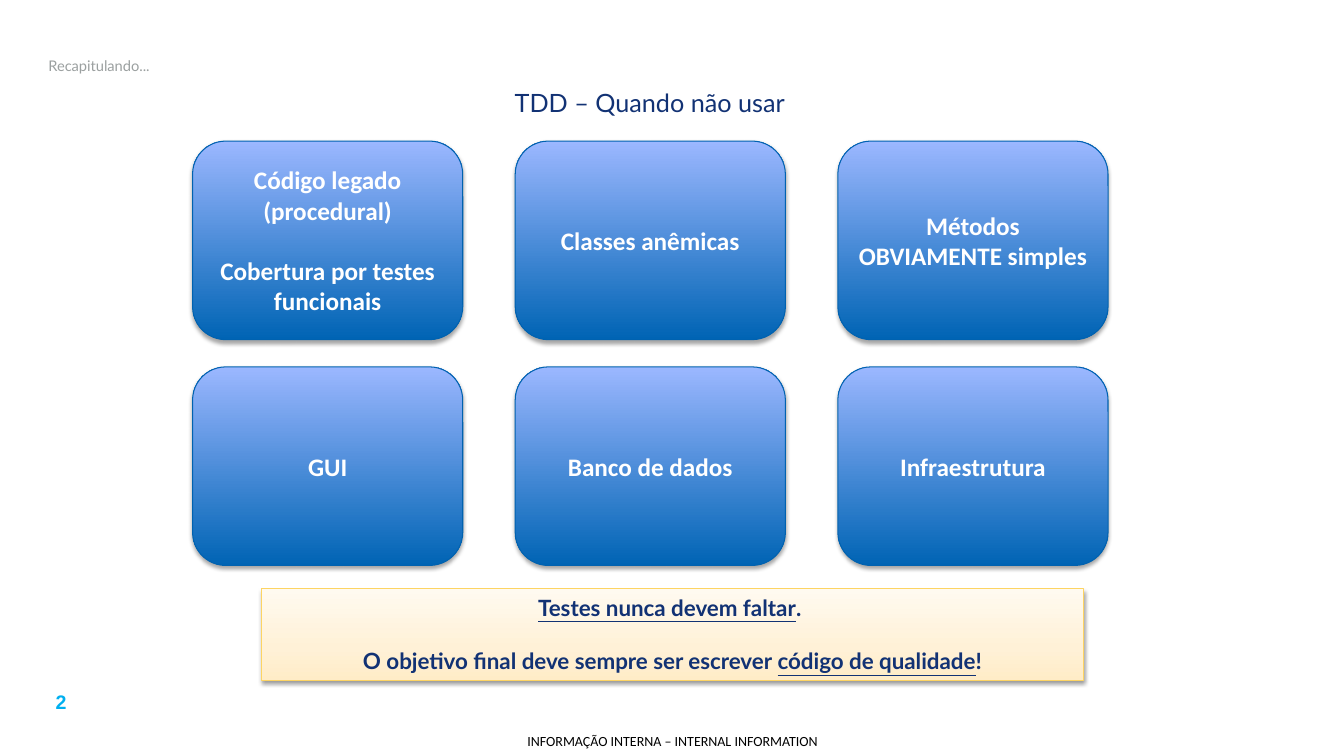
from lxml.etree import SubElement as Sub
from pptx import Presentation
from pptx.dml.color import RGBColor as RGB
from pptx.enum.shapes import MSO_SHAPE as Shape
from pptx.enum.text import MSO_ANCHOR as Anchor, MSO_AUTO_SIZE as Auto, PP_ALIGN as Align
from pptx.oxml.ns import qn
from pptx.util import Inches, Pt

NAVY = RGB(0x12, 0x32, 0x74)
GRAY = RGB(0x9B, 0xA0, 0xA0)
CYAN = RGB(0x00, 0xB0, 0xF0)
BLACK = RGB(0, 0, 0)
WHITE = RGB(0xFF, 0xFF, 0xFF)
EDGE = RGB(0x00, 0x62, 0xB0)
GOLD = RGB(0xFD, 0xD4, 0x63)
BLUES = [(0, RGB(0x00, 0x64, 0xB4)), (100, RGB(0x9B, 0xB7, 0xFF))]
CREAMS = [(0, RGB(0xFF, 0xEC, 0xC7)), (35, RGB(0xFF, 0xF1, 0xD7)),
          (100, RGB(0xFF, 0xFA, 0xF0))]

# Card grid, in inches
LEFT, TOP = 1.91, 1.4
WIDE, HIGH = 2.68, 1.97
COL, ROW = 3.2, 2.24
CARDS = [
    [["Código legado (procedural)", "Cobertura por testes funcionais"],
     ["Classes anêmicas"], ["Métodos OBVIAMENTE simples"]],
    [["GUI"], ["Banco de dados"], ["Infraestrutura"]],
]


def write(shape, paras, font="Lato", size=18, color=NAVY, bold=False,
          align=Align.CENTER, anchor=Anchor.MIDDLE, gap=0, inset=None):
    """Each paragraph is a string or a list of (text, underlined) pairs."""
    frame = shape.text_frame
    frame.word_wrap = True
    frame.auto_size = Auto.NONE
    frame.vertical_anchor = anchor
    if inset is not None:
        frame.margin_left = frame.margin_right = Inches(inset)
        frame.margin_top = frame.margin_bottom = Inches(inset)
    for i, para in enumerate(paras):
        line = frame.add_paragraph() if i else frame.paragraphs[0]
        line.alignment = align
        line.space_before = Pt(gap if i else 0)
        for text, under in [(para, False)] if isinstance(para, str) else para:
            run = line.add_run()
            run.text = text
            look = run.font
            look.name, look.size, look.bold = font, Pt(size), bold
            look.underline = under
            look.color.rgb = color


def tint(parent, color, alpha=None):
    node = Sub(parent, qn("a:srgbClr"), val=str(color))
    if alpha:
        Sub(node, qn("a:alpha"), val=str(alpha * 1000))


def panel(slide, kind, box, stops, edge, alpha, dist):
    """A shape with an upward gradient, a thin edge and a soft shadow."""
    shape = slide.shapes.add_shape(kind, *map(Inches, box))
    shape.fill.gradient()
    shape.fill.gradient_angle = 90
    tree = shape.element.spPr
    ramp = tree.find(".//" + qn("a:gsLst"))
    ramp.clear()
    for pos, color in stops:
        tint(Sub(ramp, qn("a:gs"), pos=str(pos * 1000)), color)
    shape.line.color.rgb = edge
    shape.line.width = Pt(0.75)
    shape.shadow.inherit = False
    shade = Sub(tree.find(qn("a:effectLst")), qn("a:outerShdw"),
                blurRad=str(Pt(3.1)), dist=str(Pt(dist)),
                dir="5400000", rotWithShape="0")
    tint(shade, BLACK, alpha)
    return shape


def place(shape, box):
    shape.left, shape.top, shape.width, shape.height = map(Inches, box)
    return shape


def label(slide, box, text, **form):
    write(slide.shapes.add_textbox(*map(Inches, box)), [text], **form)


def main():
    deck = Presentation()
    deck.slide_width, deck.slide_height = Inches(13.33), Inches(7.5)
    slide = deck.slides.add_slide(deck.slide_layouts[1])

    # Heading and topic
    head = place(slide.shapes.title, (0.38, 0.41, 11.88, 0.48))
    write(head, ["Recapitulando..."], size=10.5, color=GRAY, align=Align.LEFT)
    topic = place(slide.placeholders[1], (0.41, 0.67, 12.07, 0.69))
    write(topic, ["TDD – Quando não usar"])
    props = topic.text_frame.paragraphs[0]._p.get_or_add_pPr()
    props.set("marL", "0")
    props.set("indent", "0")
    Sub(props, qn("a:buNone"))

    # Cards
    for r, row in enumerate(CARDS):
        for c, words in enumerate(row):
            box = (LEFT + c * COL, TOP + r * ROW, WIDE, HIGH)
            card = panel(slide, Shape.ROUNDED_RECTANGLE, box, BLUES, EDGE, 35, 1.8)
            write(card, words, font="Calibri", color=WHITE, bold=True, gap=21.6)

    # Closing message
    note = panel(slide, Shape.RECTANGLE, (2.59, 5.84, 8.16, 0.91),
                 CREAMS, GOLD, 38, 1.6)
    write(note, [
        [("Testes nunca devem faltar", True), (". ", False)],
        [("O objetivo final deve sempre ser escrever ", False),
         ("código de qualidade", True), ("!", False)],
    ], size=16, bold=True, anchor=Anchor.TOP, gap=19.2)

    # Page number and footer
    label(slide, (0.21, 6.8, 0.79, 0.34), "2", font="Arial", size=14,
          color=CYAN, bold=True, anchor=Anchor.TOP)
    label(slide, (5.03, 7.21, 3.28, 0.29),
          "INFORMAÇÃO INTERNA – INTERNAL INFORMATION",
          font="Calibri", size=10, color=BLACK, inset=0)

    deck.save("out.pptx")


if __name__ == "__main__":
    main()
